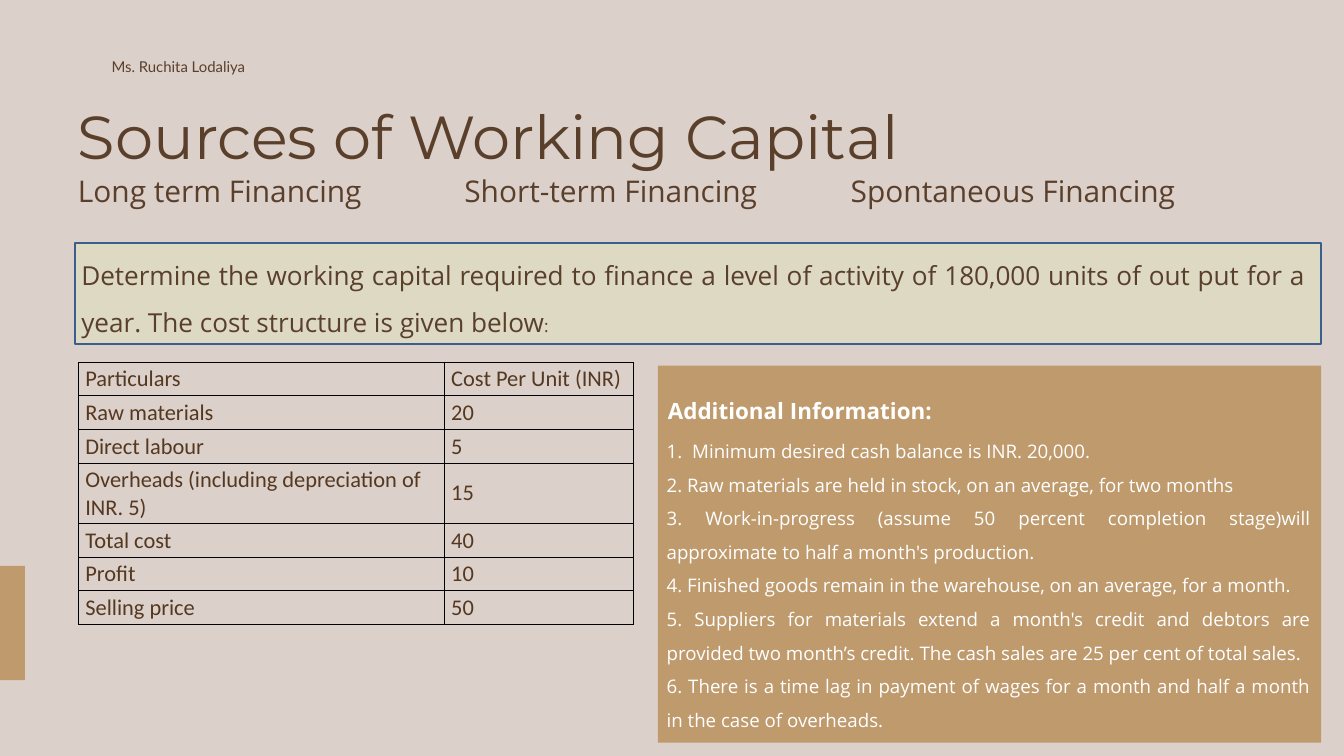
from collections import namedtuple

from lxml.etree import SubElement
from pptx import Presentation
from pptx.dml.color import RGBColor
from pptx.enum.shapes import MSO_SHAPE
from pptx.enum.text import MSO_ANCHOR, MSO_AUTO_SIZE, PP_ALIGN
from pptx.oxml.ns import qn
from pptx.util import Inches, Pt

# The slide is a grid of 20 columns and 11.25 rows; every box is given in these units.
COLUMNS, ROWS = 20, 11.25
SLIDE_WIDTH, SLIDE_HEIGHT = Inches(20), Inches(11.25)
COLUMN, ROW = SLIDE_WIDTH / COLUMNS, SLIDE_HEIGHT / ROWS

BACKGROUND = RGBColor(0xDB, 0xD0, 0xCA)
BROWN = RGBColor(0x5A, 0x3F, 0x2B)
TABLE_BROWN = RGBColor(0x54, 0x38, 0x20)
TAN = RGBColor(0xBE, 0x9A, 0x6D)
BEIGE = RGBColor(0xDD, 0xD9, 0xC3)
BLUE = RGBColor(0x3A, 0x5F, 0x8C)
WHITE = RGBColor(0xFF, 0xFF, 0xFF)
BLACK = RGBColor(0x00, 0x00, 0x00)

AUTHOR = {"name": "Lato", "size": Pt(16), "color": BROWN}
TITLE = {"name": "Montserrat", "size": Pt(65), "color": BROWN}
SOURCE = {"name": "Open Sans", "size": Pt(32), "color": BROWN}
QUESTION = {"name": "Open Sans", "size": Pt(28), "color": BROWN}
HEADING = {"name": "Open Sans", "size": Pt(24), "color": WHITE, "bold": True}
BODY = {"name": "Open Sans", "size": Pt(20), "color": WHITE}
CELL = {"name": "Calibri", "size": Pt(24), "color": TABLE_BROWN}

JUSTIFIED = {"alignment": PP_ALIGN.JUSTIFY, "line_spacing": 1.5}

SOURCES = ["Long term Financing", "Short-term Financing", "Spontaneous Financing"]
QUESTION_TEXT = (
    "Determine the working capital required to finance a level of activity of 180,000 "
    "units of out put for a year. The cost structure is given below"
)
COSTS = [
    ("Particulars", "Cost Per Unit (INR)"),
    ("Raw materials", "20"),
    ("Direct labour", "5"),
    ("Overheads (including depreciation of INR. 5)", "15"),
    ("Total cost", "40"),
    ("Profit", "10"),
    ("Selling price", "50"),
]
INFORMATION = [
    "Minimum desired cash balance is INR. 20,000.",
    "2. Raw materials are held in stock, on an average, for two months",
    "3. Work-in-progress (assume 50 percent completion stage)will approximate to half "
    "a month's production.",
    "4. Finished goods remain in the warehouse, on an average, for a month.",
    "5. Suppliers for materials extend a month's credit and debtors are provided two "
    "month’s credit. The cash sales are 25 per cent of total sales.",
    "6. There is a time lag in payment of wages for a month and half a month in the "
    "case of overheads.",
]


class Box(namedtuple("Box", "left top width height")):
    def inner(self, left, top, width, height):
        """Return a box placed relative to this one's top left corner."""
        return Box(self.left + left, self.top + top, width, height)

    def lengths(self):
        return [round(value * unit) for value, unit in zip(self, (COLUMN, ROW) * 2)]


def set_format(target, values):
    for name, value in values.items():
        if name == "color":
            target.color.rgb = value
        else:
            setattr(target, name, value)


def add_panel(slide, box, fill, line=None):
    shape = slide.shapes.add_shape(MSO_SHAPE.RECTANGLE, *box.lengths())
    shape.shadow.inherit = False
    shape.fill.solid()
    shape.fill.fore_color.rgb = fill
    if line:
        shape.line.color.rgb = line
        shape.line.width = Pt(2)
    else:
        shape.line.fill.background()


def add_text(slide, box, texts, font, layout):
    """Add a text box without margins and return its paragraphs."""
    frame = slide.shapes.add_textbox(*box.lengths()).text_frame
    set_format(frame, {
        "margin_left": 0, "margin_top": 0, "margin_right": 0, "margin_bottom": 0,
        "word_wrap": True, "auto_size": MSO_AUTO_SIZE.SHAPE_TO_FIT_TEXT,
    })
    frame.text = "\n".join(texts)
    for paragraph in frame.paragraphs:
        set_format(paragraph, layout)
        set_format(paragraph.runs[0].font, font)
    return frame.paragraphs


def number_paragraph(paragraph, indent):
    properties = paragraph._p.get_or_add_pPr()
    properties.set("marL", str(indent))
    properties.set("indent", str(-indent))
    SubElement(properties, qn("a:buFont"), typeface="+mj-lt")
    SubElement(properties, qn("a:buAutoNum"), type="arabicPeriod")


def add_header(slide, box):
    add_text(slide, box.inner(0.5, 0, 2.88, 0.31), ["Ms. Ruchita Lodaliya"], AUTHOR,
             {"line_spacing": Pt(22.4)})
    add_text(slide, box.inner(0, 0.57, box.width, 1.19), ["Sources of Working Capital"],
             TITLE, {"line_spacing": Pt(84.5)})
    source_width = box.width / len(SOURCES)
    for index, source in enumerate(SOURCES):
        add_text(slide, box.inner(index * source_width, 1.9, source_width, 0.4), [source],
                 SOURCE, {"line_spacing": Pt(28)})


def add_question(slide, box):
    add_panel(slide, box, BEIGE, BLUE)
    paragraph = add_text(slide, box.inner(0.09, 0, box.width - 0.33, box.height),
                         [QUESTION_TEXT], QUESTION, JUSTIFIED)[0]
    colon = paragraph.add_run()
    colon.text = ":"
    set_format(colon.font, {**QUESTION, "size": Pt(18)})


def add_cell_borders(cell):
    properties = cell._tc.get_or_add_tcPr()
    for index, side in enumerate(("a:lnL", "a:lnR", "a:lnT", "a:lnB")):
        line = properties.makeelement(qn(side), {"w": str(Pt(1))})
        fill = SubElement(line, qn("a:solidFill"))
        SubElement(fill, qn("a:srgbClr"), val=str(BLACK))
        properties.insert(index, line)


def add_cost_table(slide, box):
    table = slide.shapes.add_table(len(COSTS), 2, *box.lengths()).table
    set_format(table, {"first_row": False, "horz_banding": False})
    for column, share in zip(table.columns, (0.66, 0.34)):
        column.width = round(box.width * share * COLUMN)
    for row, texts in zip(table.rows, COSTS):
        row.height = round(box.height / len(COSTS) * ROW)
        for cell, text in zip(row.cells, texts):
            cell.text = text
            cell.vertical_anchor = MSO_ANCHOR.MIDDLE
            cell.fill.background()
            set_format(cell.text_frame.paragraphs[0].runs[0].font, CELL)
            add_cell_borders(cell)


def add_information(slide, box):
    add_panel(slide, box, TAN)
    text_width = box.width - 0.29
    add_text(slide, box.inner(0.15, 0.27, text_width, 0.54), ["Additional Information:"],
             HEADING, JUSTIFIED)
    paragraphs = add_text(slide, box.inner(0.13, 0.94, text_width, 4.54), INFORMATION,
                          BODY, JUSTIFIED)
    number_paragraph(paragraphs[0], round(0.38 * COLUMN))


def main():
    presentation = Presentation()
    presentation.slide_width, presentation.slide_height = SLIDE_WIDTH, SLIDE_HEIGHT
    slide = presentation.slides.add_slide(presentation.slide_layouts[6])
    slide.background.fill.solid()
    slide.background.fill.fore_color.rgb = BACKGROUND

    add_panel(slide, Box(0, 8.42, 0.37, 1.7), TAN)
    add_header(slide, Box(1.16, 0.81, 17.25, 2.3))
    add_question(slide, Box(1.12, 3.62, 18.54, 1.5))
    add_cost_table(slide, Box(1.17, 5.39, 8.25, 3.15))
    add_information(slide, Box(9.79, 5.44, 9.87, 5.61))
    presentation.save("out.pptx")


if __name__ == "__main__":
    main()
